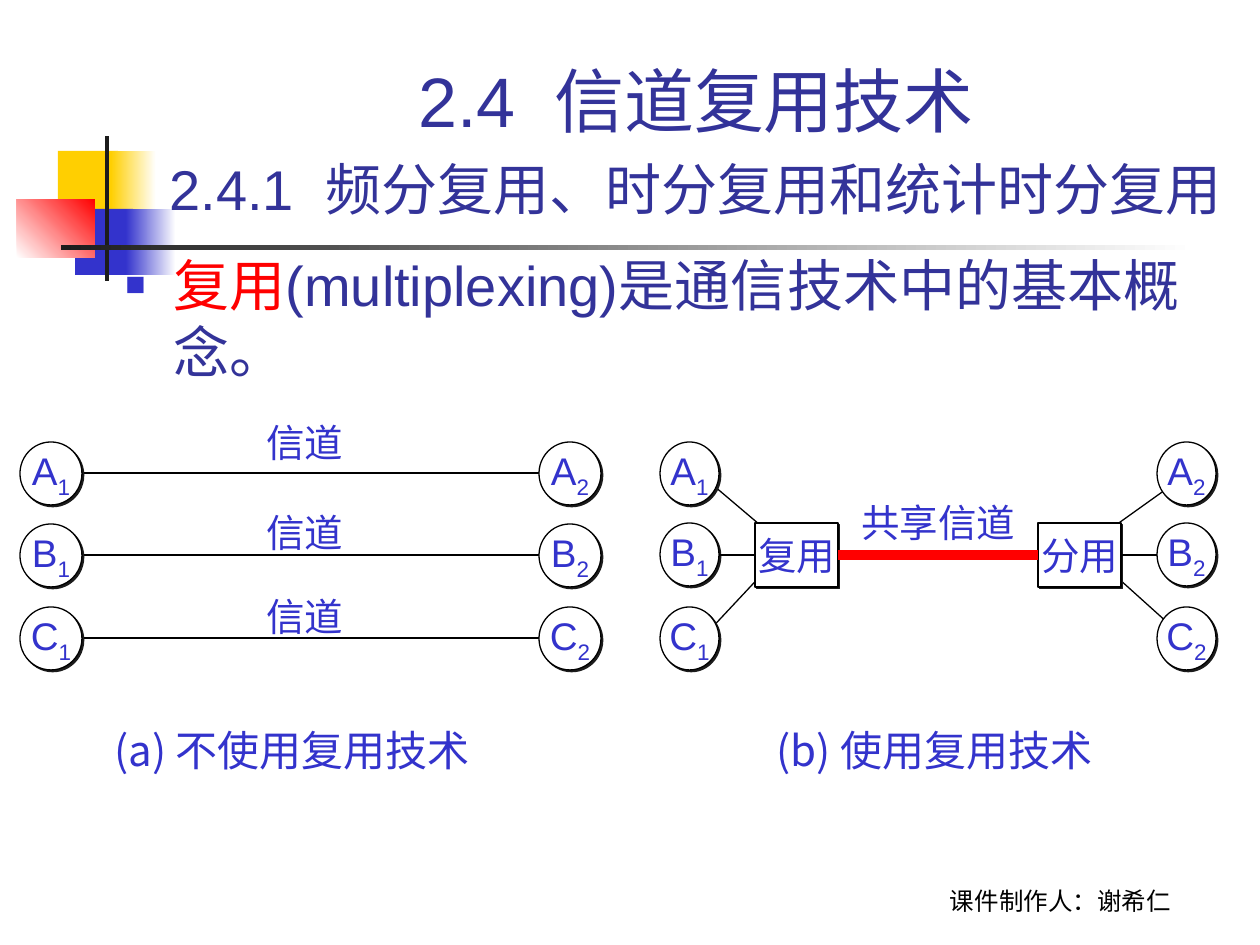
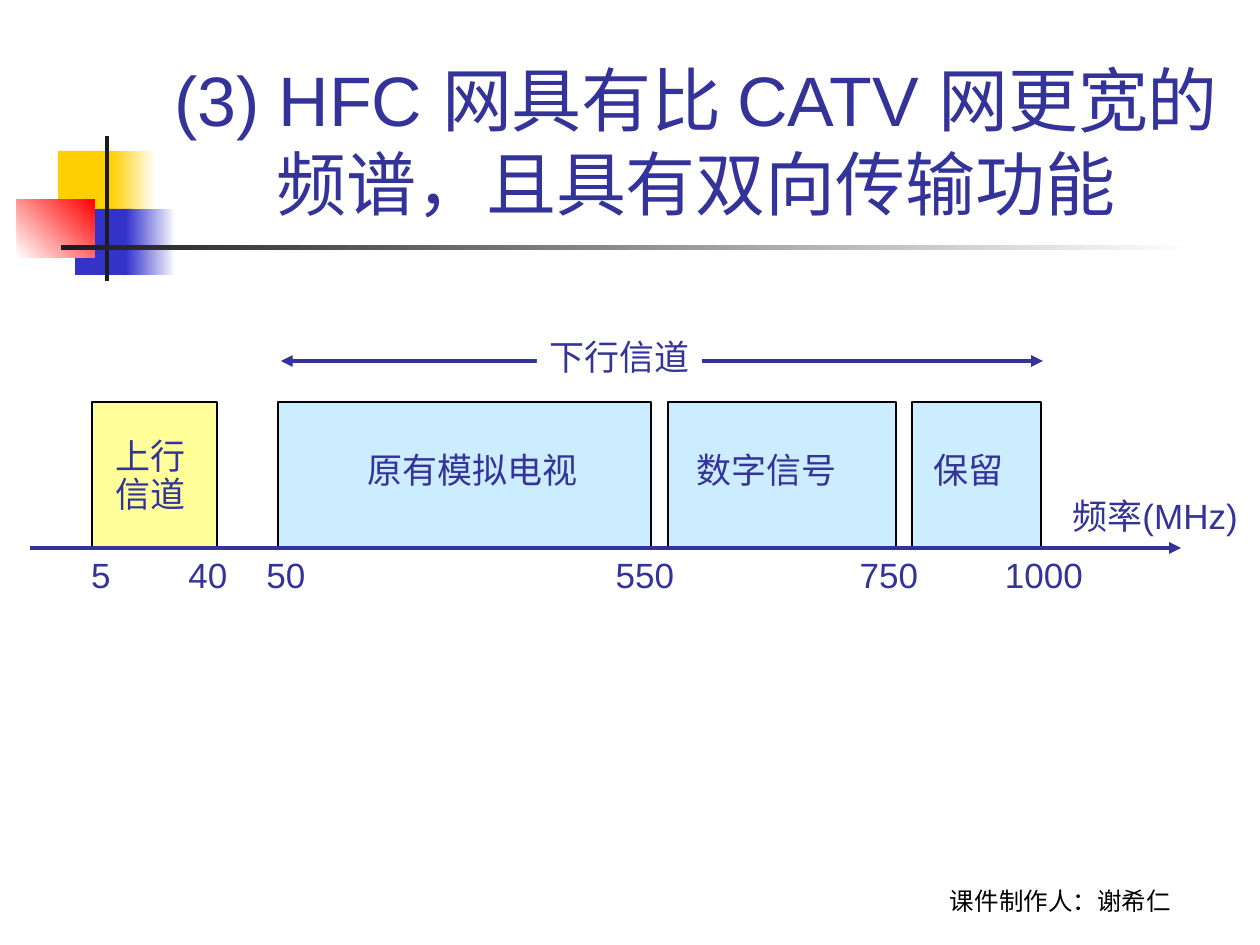
from lxml.etree import SubElement
from pptx import Presentation
from pptx.dml.color import RGBColor
from pptx.enum.shapes import MSO_CONNECTOR, MSO_SHAPE
from pptx.enum.text import MSO_ANCHOR, PP_ALIGN
from pptx.oxml.ns import qn
from pptx.util import Emu, Pt

PX_PER_INCH = 126
NAVY, BLUE, RED, YELLOW = "333399", "3333CC", "FF0000", "FFCF01"
BLACK, DARK, WHITE = "000000", "1C1C1C", "FFFFFF"
UPLINK, DOWNLINK = "FFFF99", "CCECFF"
ARIAL, CJK = "Arial", "Noto Sans CJK SC"

# Shared decoration: box, colour, end colour of the fade, angle
DECORATION = [
    ((58, 151, 60, 66), YELLOW, None, 0),
    ((111, 151, 45, 66), YELLOW, WHITE, 0),
    ((75, 209, 58, 66), BLUE, None, 0),
    ((126, 209, 50, 66), BLUE, WHITE, 0),
    ((17, 199, 78, 59), WHITE, RED, 45),
    ((105, 136, 4, 145), DARK, None, 0),
    ((61, 245, 1134, 5), DARK, WHITE, 0),
]
FOOTER = "课件制作人：谢希仁"

# Slide 1: a run is a string or a (string, options) pair
SECTION = ["2.4", (" ", {"spc": 1100}), "信道复用技术"]
SUBSECTION = ["2.4.1", (" ", {"spc": 900}), "频分复用、时分复用和统计时分复用"]
DEFINITION = [("复用", {"color": RED}), "(multiplexing)是通信技术中的基本概念。"]
STATIONS = "ABC"
CHANNEL = "信道"
CHANNEL_TOPS = [413, 503, 587]
SEPARATE = {"lefts": (20, 539), "tops": (442, 524, 607), "width": 62}
SHARED = {"lefts": (660, 1157), "tops": (442, 523, 607), "width": 59}
STATION_HEIGHT = 63
BRANCHES = [
    (707, 480, 766, 530), (707, 633, 766, 570),
    (1179, 480, 1109, 530), (1179, 633, 1109, 570),
]
# Caption and its box
CAPTIONS = [
    ("(a) 不使用复用技术", (102, 718, 388, 63)),
    ("(b) 使用复用技术", (764, 718, 400, 63)),
]

# Slide 2
HFC_TITLE = "(3) HFC 网具有比 CATV 网更宽的频谱，且具有双向传输功能"
BAND_TOP, AXIS_Y = 402, 548
# left, right, colour, label lines, label left, label top
BANDS = [
    (92, 217, UPLINK, ["上行", "信道"], 103, 433),
    (278, 651, DOWNLINK, ["原有模拟电视"], 355, 442),
    (668, 896, DOWNLINK, ["数字信号"], 684, 442),
    (912, 1041, DOWNLINK, ["保留"], 921, 442),
]
TICKS = [("5", 101), ("40", 208), ("50", 286), ("550", 645), ("750", 889), ("1000", 1044)]
TICK_WIDTH = 140


def px(n):
    return Emu(round(n * 914400 / PX_PER_INCH))


def rgb(color):
    return RGBColor.from_string(color)


def write(s, paragraphs, size, color, font=ARIAL, align=PP_ALIGN.LEFT,
          anchor=MSO_ANCHOR.TOP, wrap=False):
    """Fill a shape with paragraphs, each a list of runs."""
    tf = s.text_frame
    tf.word_wrap = wrap
    tf.vertical_anchor = anchor
    for i, runs in enumerate(paragraphs):
        p = tf.add_paragraph() if i else tf.paragraphs[0]
        p.alignment = align
        style(p, size, color, font)
        for run in runs:
            text, options = (run, {}) if isinstance(run, str) else run
            r = p.add_run()
            r.text = text
            for key, value in options.items():
                if key == "color":
                    r.font.color.rgb = rgb(value)
                else:
                    r.font._element.set(key, str(value))
    return tf


def style(p, size, color, font=ARIAL):
    p.font.size = Pt(size)
    p.font.color.rgb = rgb(color)
    p.font.name = font
    r_pr = p.font._element
    if r_pr.find(qn("a:ea")) is None:
        SubElement(r_pr, qn("a:ea"), typeface=CJK)


def add_text(slide, box, paragraphs, size, color, **layout):
    s = slide.shapes.add_textbox(*map(px, box))
    return write(s, paragraphs, size, color, **layout)


def add_block(slide, box, fill, outline=None, kind=MSO_SHAPE.RECTANGLE):
    s = slide.shapes.add_shape(kind, *map(px, box))
    s.shadow.inherit = False
    s.fill.solid()
    s.fill.fore_color.rgb = rgb(fill)
    if outline:
        s.line.color.rgb = rgb(outline)
        s.line.width = Pt(0.75)
    else:
        s.line.fill.background()
    return s


def add_node(slide, box, runs, kind=MSO_SHAPE.OVAL):
    """White outlined node with a hard shadow."""
    s = add_block(slide, box, WHITE, BLACK, kind)
    effects = s._element.spPr.find(qn("a:effectLst"))
    shadow = SubElement(effects, qn("a:outerShdw"), blurRad="0", dist="17960",
                        dir="2700000", algn="ctr", rotWithShape="0")
    SubElement(shadow, qn("a:srgbClr"), val=DARK)
    write(s, [runs], 22, BLUE, align=PP_ALIGN.CENTER, anchor=MSO_ANCHOR.MIDDLE)
    return s


def add_line(slide, ends, color=BLACK, width=0.75, arrows=()):
    c = slide.shapes.add_connector(MSO_CONNECTOR.STRAIGHT, *map(px, ends))
    c.line.color.rgb = rgb(color)
    c.line.width = Pt(width)
    for arrow in arrows:
        SubElement(c.line._get_or_add_ln(), qn("a:" + arrow), type="triangle")
    SubElement(c._element.spPr, qn("a:effectLst"))
    return c


def add_base(prs):
    """Blank slide with the shared decoration and footer."""
    slide = prs.slides.add_slide(prs.slide_layouts[6])
    for box, color, end_color, angle in DECORATION:
        s = add_block(slide, box, color)
        if end_color:
            s.fill.gradient()
            s.fill.gradient_angle = angle
            for stop, stop_color in zip(s.fill.gradient_stops, (color, end_color)):
                stop.color.rgb = rgb(stop_color)
    add_text(slide, (861, 859, 399, 63), [[FOOTER]], 14, BLACK, font="Cabin",
             align=PP_ALIGN.CENTER, anchor=MSO_ANCHOR.BOTTOM, wrap=True)
    return slide


def add_title(slide, box, paragraphs):
    return add_text(slide, box, paragraphs, 40, NAVY, align=PP_ALIGN.CENTER,
                    anchor=MSO_ANCHOR.BOTTOM, wrap=True)


def add_bullet(p):
    p_pr = p._p.get_or_add_pPr()
    p_pr.set("marL", str(px(48)))
    p_pr.set("indent", str(-px(48)))
    bullet = [SubElement(p_pr, qn("a:buClr")),
              SubElement(p_pr, qn("a:buSzPct"), val="60000"),
              SubElement(p_pr, qn("a:buFont"), typeface=ARIAL),
              SubElement(p_pr, qn("a:buChar"), char="■")]
    SubElement(bullet[0], qn("a:srgbClr"), val=BLUE)
    font = p_pr.find(qn("a:defRPr"))
    if font is not None:
        p_pr.append(font)


def add_stations(slide, lefts, tops, width):
    for letter, top in zip(STATIONS, tops):
        for side, left in enumerate(lefts, 1):
            add_node(slide, (left, top, width, STATION_HEIGHT),
                     [letter, (str(side), {"baseline": -25000})])


def build_multiplexing(prs):
    slide = add_base(prs)
    tf = add_title(slide, (117, 29, 1158, 199), [SECTION, SUBSECTION])
    tf.paragraphs[0].space_after = Pt(7.5)
    style(tf.paragraphs[1], 32, NAVY)
    tf = add_text(slide, (113, 244, 1101, 567), [DEFINITION], 32, NAVY, wrap=True)
    add_bullet(tf.paragraphs[0])

    for top, label_top in zip(SEPARATE["tops"], CHANNEL_TOPS):
        y = top + STATION_HEIGHT // 2
        add_line(slide, (82, y, 551, y))
        add_text(slide, (254, label_top, 120, 59), [[CHANNEL]], 22, BLUE, font=CJK,
                 wrap=True)
    add_stations(slide, **SEPARATE)

    for ends in BRANCHES:
        add_line(slide, ends)
    add_stations(slide, **SHARED)
    mux, demux = [add_node(slide, (left, 523, 83, 64), [label], MSO_SHAPE.RECTANGLE)
                  for left, label in ((755, "复用"), (1038, "分用"))]
    add_line(slide, (719, 555, 755, 555)).end_connect(mux, 1)
    add_line(slide, (1121, 555, 1157, 555)).begin_connect(demux, 3)
    trunk = add_line(slide, (838, 555, 1038, 555), RED, 6)
    trunk.begin_connect(mux, 3)
    trunk.end_connect(demux, 1)
    add_text(slide, (849, 493, 200, 59), [["共享信道"]], 22, BLUE, wrap=True)

    for caption, box in CAPTIONS:
        add_text(slide, box, [[caption]], 24, BLUE, font=CJK, wrap=True)


def build_spectrum(prs):
    slide = add_base(prs)
    add_title(slide, (159, 115, 1074, 116), [[HFC_TITLE]])
    add_line(slide, (281, 361, 1043, 361), NAVY, 2.25, ("headEnd", "tailEnd"))
    s = add_block(slide, (537, 329, 165, 55), WHITE)
    write(s, [["下行信道"]], 20, NAVY)

    for left, right, color, lines, label_left, label_top in BANDS:
        add_block(slide, (left, BAND_TOP, right - left, AXIS_Y - BAND_TOP), color, BLACK)
        label_box = (label_left, label_top, right - label_left, 55 * len(lines))
        tf = add_text(slide, label_box, [[line] for line in lines], 20, NAVY, wrap=True)
        if len(lines) > 1:
            for p in tf.paragraphs:
                p.line_spacing = 0.9
    add_line(slide, (30, AXIS_Y, 1181, AXIS_Y), NAVY, 2.25, ("tailEnd",))
    for value, x in TICKS:
        add_text(slide, (x - TICK_WIDTH // 2, 547, TICK_WIDTH, 55), [[value]], 20, NAVY,
                 align=PP_ALIGN.CENTER, wrap=True)
    add_text(slide, (1060, 488, 199, 55), [["频率(MHz)"]], 20, NAVY)


def main():
    prs = Presentation()
    prs.slide_width, prs.slide_height = px(1260), px(945)
    build_multiplexing(prs)
    build_spectrum(prs)
    prs.save("out.pptx")


if __name__ == "__main__":
    main()
